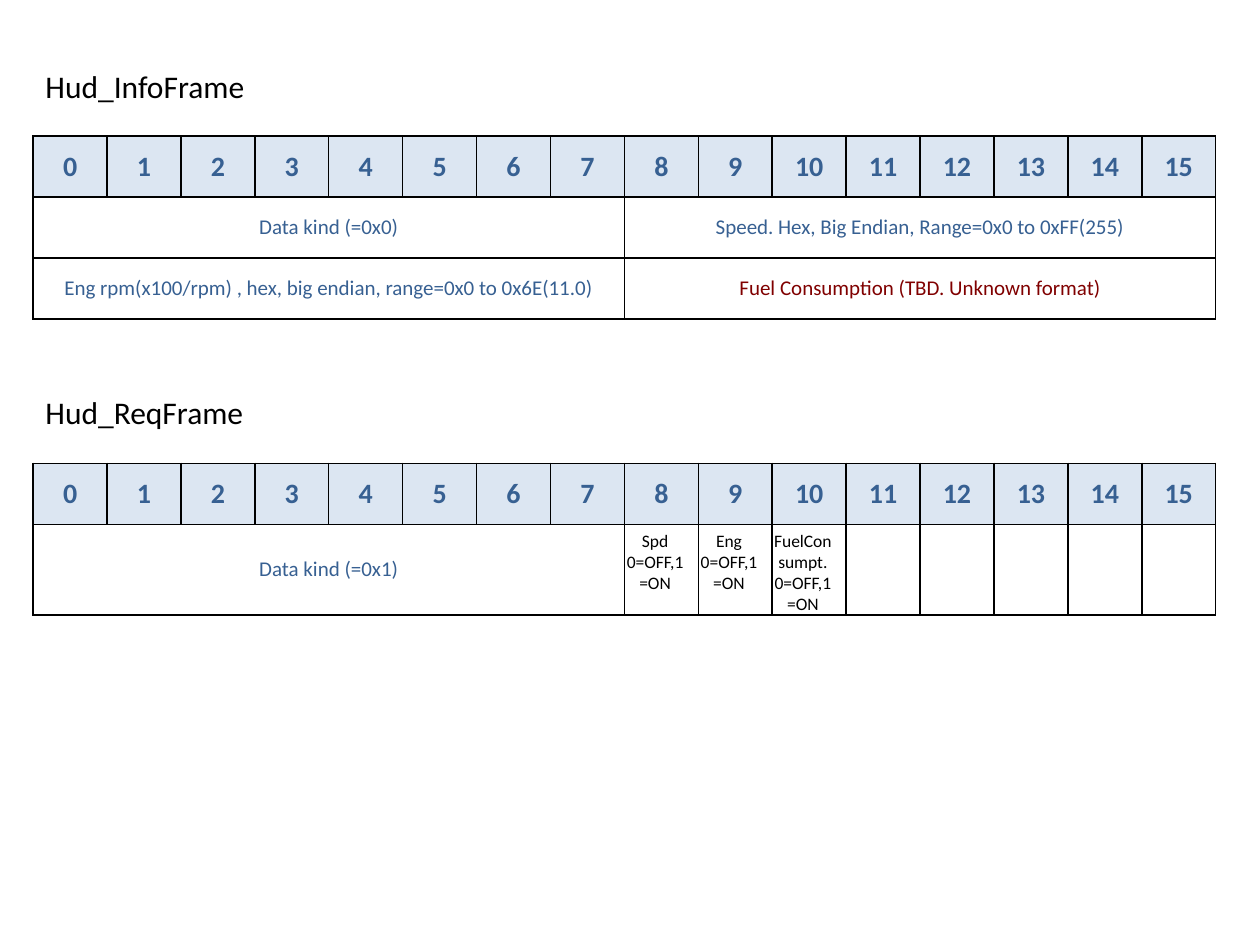
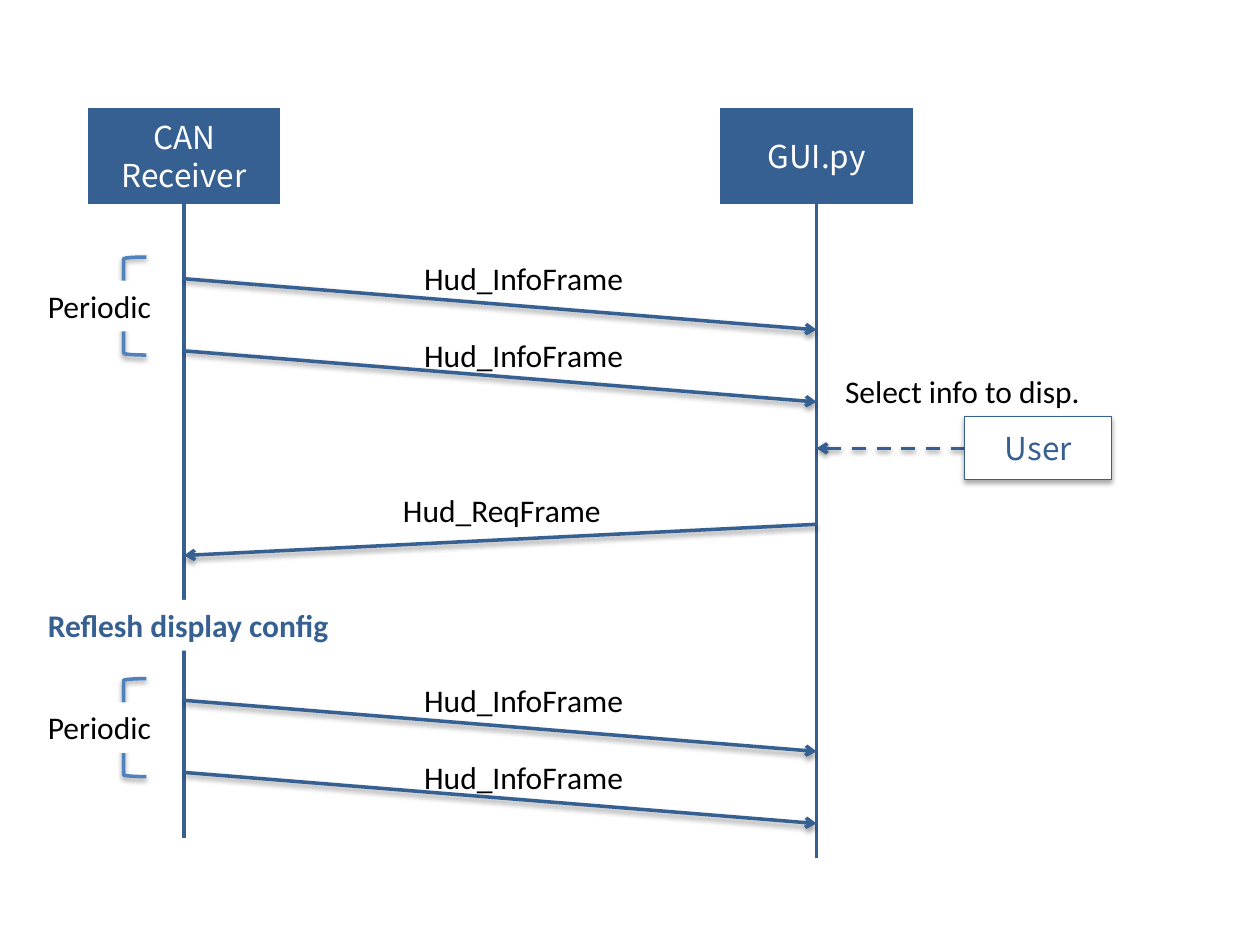
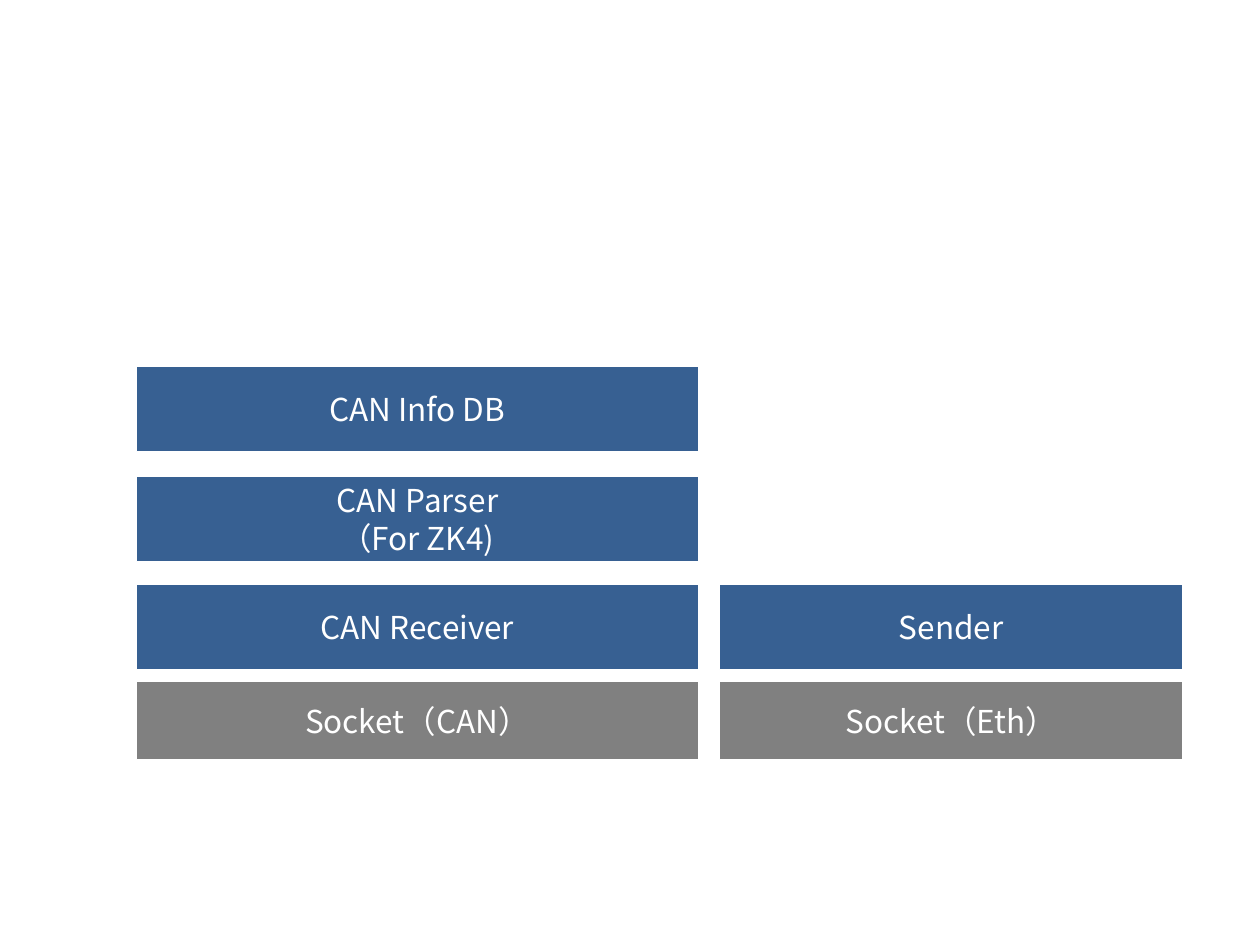
from lxml import etree
from pptx import Presentation
from pptx.dml.color import RGBColor
from pptx.enum.dml import MSO_LINE
from pptx.enum.shapes import MSO_CONNECTOR, MSO_SHAPE
from pptx.enum.text import MSO_ANCHOR, MSO_AUTO_SIZE, PP_ALIGN
from pptx.oxml.ns import qn
from pptx.util import Pt

CENTER, LEFT = PP_ALIGN.CENTER, PP_ALIGN.LEFT
MIDDLE, TOP = MSO_ANCHOR.MIDDLE, MSO_ANCHOR.TOP
RECTANGLE, LEFT_BRACKET = MSO_SHAPE.RECTANGLE, MSO_SHAPE.LEFT_BRACKET
STRAIGHT, DASH = MSO_CONNECTOR.STRAIGHT, MSO_LINE.DASH
FIT_SHAPE = MSO_AUTO_SIZE.SHAPE_TO_FIT_TEXT

BLUE = RGBColor(0x37, 0x60, 0x92)
BRACKET_BLUE = RGBColor(0x4F, 0x81, 0xBD)
PALE_BLUE = RGBColor(0xDC, 0xE6, 0xF2)
GRAY = RGBColor(0x80, 0x80, 0x80)
DARK_RED = RGBColor(0x80, 0x00, 0x00)
BLACK = RGBColor(0, 0, 0)
WHITE = RGBColor(255, 255, 255)
LABEL_FONT, BOX_FONT = "Calibri", "Noto Sans CJK JP"

# Frames: title, title top, table top, row heights, and rows of
# (first bit, bit count, text, colour); one-bit fields hold flags.
BITS = 16
FRAME_LEFT, BIT_WIDTH, ROW_HEIGHT, FLAG_HEIGHT = 18.9, 42.25, 34.8, 51.6
FRAMES = [
    ("Hud_InfoFrame", 34.6, 77.8, [ROW_HEIGHT] * 3, [
        [(0, 8, "Data kind (=0x0)", BLUE),
         (8, 8, "Speed. Hex, Big Endian, Range=0x0 to 0xFF(255)", BLUE)],
        [(0, 8, "Eng rpm(x100/rpm) , hex, big endian, range=0x0 to 0x6E(11.0)", BLUE),
         (8, 8, "Fuel Consumption (TBD. Unknown format)", DARK_RED)],
    ]),
    ("Hud_ReqFrame", 221.2, 264.8, [ROW_HEIGHT, FLAG_HEIGHT], [
        [(0, 8, "Data kind (=0x1)", BLUE),
         (8, 1, "Spd\n0=OFF,1=ON", BLACK),
         (9, 1, "Eng\n0=OFF,1=ON", BLACK),
         (10, 1, "FuelConsumpt.\n0=OFF,1=ON", BLACK)],
    ]),
]

# Sequence: name, lifeline x, lifeline bottom
ACTORS = [("CAN Receiver", 105.2, 478.8), ("GUI.py", 466.6, 490.2)]
RECEIVER_X, GUI_X = ACTORS[0][1], ACTORS[1][1]
ACTOR_TOP, ACTOR_WIDTH, ACTOR_HEIGHT = 61.5, 110.6, 55.2
LABEL_HEIGHT, LABEL_WIDTH, LABEL_LEFT = 29, 130, 235.3
PERIOD_TOPS = [146.9, 387.8]
INFO_MESSAGES = [(12.4, -2.3), (53.6, 41.7)]  # line and label, from period top
INFO_DROP = 29.2

# Layers: left, width, and (text, top, height, colour) of each block
LAYERS = [
    (78, 321, [("CAN Info DB", 209.6, 48.4, BLUE),
               ("CAN Parser\n（For ZK4)", 272.4, 48.4, BLUE),
               ("CAN Receiver", 334.1, 48.4, BLUE),
               ("Socket（CAN）", 389.6, 44.4, GRAY)]),
    (411.2, 264.8, [("Sender", 334.1, 48.4, BLUE),
                    ("Socket（Eth）", 389.6, 44.4, GRAY)]),
]


def add_child(parent, tag, **attributes):
    """Append a drawing element with attributes."""
    return etree.SubElement(parent, qn(tag), attributes)


def set_color(parent, color):
    """Append a solid fill to an element."""
    add_child(add_child(parent, "a:solidFill"), "a:srgbClr", val=str(color))


def set_effects(shape, opacity):
    """Replace the theme's effects by a soft shadow, or by none at opacity 0."""
    properties = shape._element.spPr
    for old in properties.findall(qn("a:effectLst")):
        properties.remove(old)
    effects = add_child(properties, "a:effectLst")
    if opacity:
        shadow = add_child(effects, "a:outerShdw", blurRad=str(Pt(3.1)),
                           dist=str(Pt(1.7)), dir="5400000", rotWithShape="0")
        color = add_child(shadow, "a:srgbClr", val=str(BLACK))
        add_child(color, "a:alpha", val=str(opacity * 1000))


def write(frame, text, size, color, font, bold=False, align=LEFT):
    """Fill a text frame and format all its runs."""
    frame.text = text
    for paragraph in frame.paragraphs:
        paragraph.alignment = align
        for run in paragraph.runs:
            run.font.size, run.font.bold = Pt(size), bold
            run.font.name, run.font.color.rgb = font, color
            add_child(run._r.get_or_add_rPr(), "a:ea", typeface=font)


def add_label(slide, text, left, top, width, color=BLACK, fill=None, bold=False):
    """Add an 18 point one-line label, on a fill if one is given."""
    box = slide.shapes.add_textbox(Pt(left), Pt(top), Pt(width), Pt(LABEL_HEIGHT))
    if fill is not None:
        box.fill.solid()
        box.fill.fore_color.rgb = fill
    write(box.text_frame, text, 18, color, LABEL_FONT, bold)
    box.text_frame.word_wrap = False
    box.text_frame.auto_size = FIT_SHAPE


def add_box(slide, text, left, top, width, height, fill=BLUE, ink=WHITE, opacity=0):
    """Add a rectangle whose outline has the colour of its text."""
    box = slide.shapes.add_shape(RECTANGLE, Pt(left), Pt(top), Pt(width), Pt(height))
    box.fill.solid()
    box.fill.fore_color.rgb = fill
    box.line.color.rgb, box.line.width = ink, Pt(0.75)
    set_effects(box, opacity)
    write(box.text_frame, text, 18, ink, BOX_FONT, align=CENTER)
    box.text_frame.vertical_anchor = MIDDLE
    box.text_frame.word_wrap = True


def add_line(slide, x1, y1, x2, y2, arrow=True, dashed=False):
    """Add a lifeline, or a shadowed message arrow."""
    line = slide.shapes.add_connector(STRAIGHT, Pt(x1), Pt(y1), Pt(x2), Pt(y2))
    line.line.color.rgb, line.line.width = BLUE, Pt(2)
    if dashed:
        line.line.dash_style = DASH
    if arrow:
        add_child(line.line._get_or_add_ln(), "a:tailEnd", type="arrow")
    set_effects(line, 38 if arrow else 0)


def style_cell(cell, fill):
    """Give a cell its fill and thin black borders."""
    cell.fill.solid()
    cell.fill.fore_color.rgb = fill
    properties = cell._tc.get_or_add_tcPr()
    for index, side in enumerate(("a:lnL", "a:lnR", "a:lnT", "a:lnB")):
        border = etree.Element(qn(side), w=str(Pt(1)))
        set_color(border, BLACK)
        properties.insert(index, border)


def add_frame(slide, title, title_top, top, heights, rows):
    """Add a titled bit-field table."""
    table = slide.shapes.add_table(len(heights), BITS, Pt(FRAME_LEFT), Pt(top),
                                   Pt(BIT_WIDTH * BITS), Pt(sum(heights))).table
    table.first_row = table.horz_banding = False
    for column in table.columns:
        column.width = Pt(BIT_WIDTH)
    for row_index, height in enumerate(heights):
        table.rows[row_index].height = Pt(height)
        for bit in range(BITS):
            style_cell(table.cell(row_index, bit), WHITE if row_index else PALE_BLUE)
    for bit in range(BITS):
        cell = table.cell(0, bit)
        write(cell.text_frame, str(bit), 16, BLUE, LABEL_FONT, True, CENTER)
        cell.vertical_anchor = MIDDLE
    for row_index, fields in enumerate(rows, start=1):
        for first, count, text, color in fields:
            cell = table.cell(row_index, first)
            is_flag = count == 1
            if is_flag:
                cell.margin_left = cell.margin_bottom = 0
            else:
                cell.merge(table.cell(row_index, first + count - 1))
            cell.vertical_anchor = TOP if is_flag else MIDDLE
            write(cell.text_frame, text, 10 if is_flag else 12, color,
                  LABEL_FONT, align=CENTER)
    add_label(slide, title, FRAME_LEFT, title_top, LABEL_WIDTH)


def add_period(slide, top):
    """Add two periodic info messages with their bracket."""
    for line_offset, label_offset in INFO_MESSAGES:
        y = top + line_offset
        add_line(slide, RECEIVER_X, y, GUI_X, y + INFO_DROP)
        add_label(slide, "Hud_InfoFrame", LABEL_LEFT, top + label_offset, LABEL_WIDTH)
    bracket = slide.shapes.add_shape(LEFT_BRACKET, Pt(70.6), Pt(top), Pt(13), Pt(56))
    bracket.fill.background()
    bracket.line.color.rgb, bracket.line.width = BRACKET_BLUE, Pt(2)
    set_effects(bracket, 38)
    add_label(slide, "Periodic", 20.2, top + 13.5, 74, fill=WHITE)


def add_sequence(slide):
    """Draw the message sequence between receiver and GUI."""
    for name, x, bottom in ACTORS:
        add_box(slide, name, x - ACTOR_WIDTH / 2, ACTOR_TOP, ACTOR_WIDTH, ACTOR_HEIGHT)
        add_line(slide, x, ACTOR_TOP + ACTOR_HEIGHT, x, bottom, arrow=False)
    for top in PERIOD_TOPS:
        add_period(slide, top)
    add_line(slide, 551.2, 256.2, GUI_X, 256.2, dashed=True)
    add_label(slide, "Select info to disp.", 475.8, 209.2, 150.5)
    add_box(slide, "User", 551.2, 238.1, 84.2, 36, WHITE, BLUE, opacity=35)
    add_line(slide, GUI_X, 299.6, RECEIVER_X, 317.4)
    add_label(slide, "Hud_ReqFrame", 223.2, 277.2, LABEL_WIDTH)
    add_label(slide, "Reflesh display config", 20.2, 342.8, 178, BLUE, WHITE, True)


def main():
    """Build and save the three slides."""
    presentation = Presentation()
    presentation.slide_width, presentation.slide_height = Pt(720), Pt(540)
    blank = presentation.slide_layouts[6]
    frames, sequence, layers = (presentation.slides.add_slide(blank) for _ in range(3))
    for frame in FRAMES:
        add_frame(frames, *frame)
    add_sequence(sequence)
    for left, width, blocks in LAYERS:
        for text, top, height, fill in blocks:
            add_box(layers, text, left, top, width, height, fill)
    presentation.save("out.pptx")


main()
